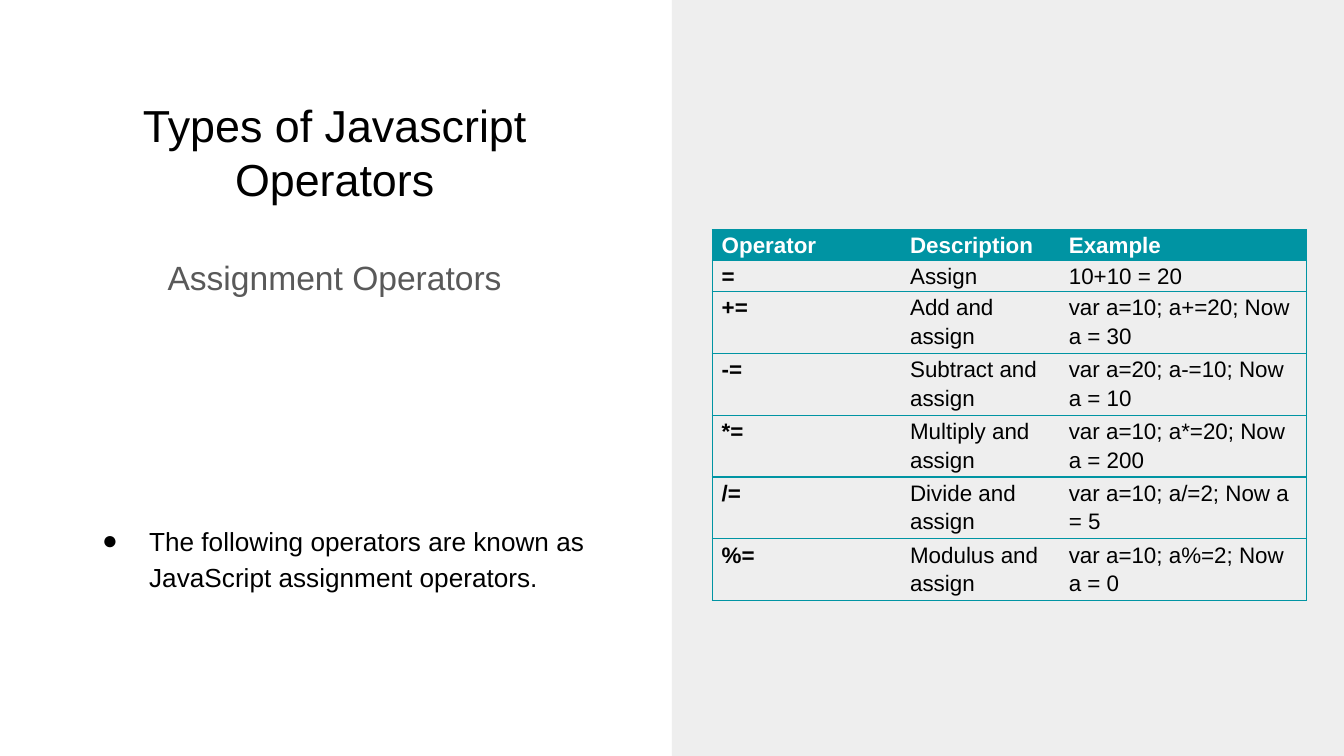
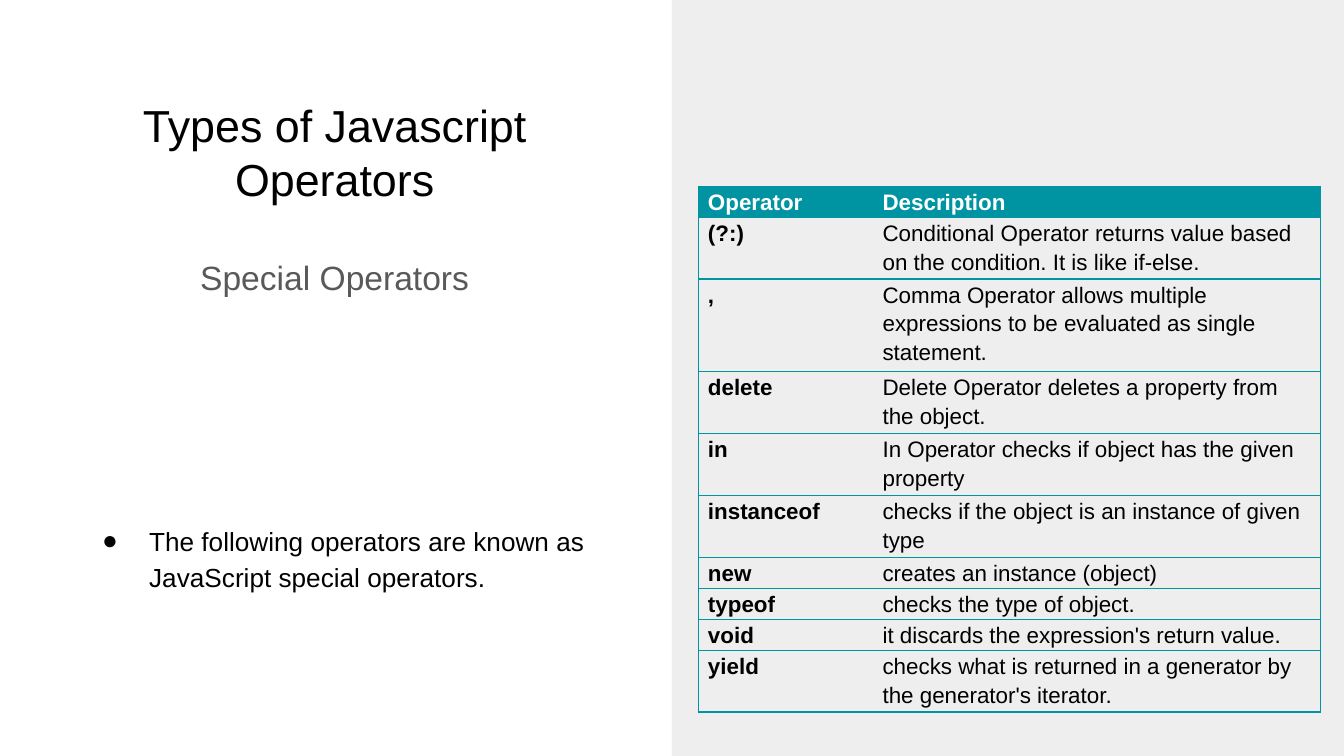
from lxml.etree import SubElement
from pptx import Presentation
from pptx.dml.color import RGBColor
from pptx.enum.shapes import MSO_SHAPE
from pptx.enum.text import MSO_ANCHOR, PP_ALIGN
from pptx.oxml.ns import qn
from pptx.util import Cm, Pt

FONT = "Arial"
BLACK = "000000"
WHITE = "FFFFFF"
GREY = "595959"
PANEL = "EEEEEE"
TEAL = "0094A3"

PAGE_WIDTH, PAGE_HEIGHT = 25.4, 14.29
LINE_SPACING = 1.15
ROW_HEIGHT = 0.55


def color(value):
    return RGBColor.from_string(value)


class OperatorDeck:
    """Holds the shared style and the slide being built."""

    def __init__(self):
        self.deck = Presentation()
        self.deck.slide_width = Cm(PAGE_WIDTH)
        self.deck.slide_height = Cm(PAGE_HEIGHT)
        self.page = None

    def add_page(self):
        self.page = self.deck.slides.add_slide(self.deck.slide_layouts[6])
        self.page.background.fill.solid()
        self.page.background.fill.fore_color.rgb = color(WHITE)
        self.add_panel()

    def add_panel(self):
        half = PAGE_WIDTH / 2
        panel = self.page.shapes.add_shape(
            MSO_SHAPE.RECTANGLE, Cm(half), 0, Cm(half), Cm(PAGE_HEIGHT))
        panel.shadow.inherit = False
        panel.fill.solid()
        panel.fill.fore_color.rgb = color(PANEL)
        panel.line.fill.background()

    def add_span(self, para, text, size, text_color=BLACK, bold=False):
        span = para.add_run()
        span.text = text
        span.font.name = FONT
        span.font.size = Pt(size)
        span.font.bold = bold
        span.font.color.rgb = color(text_color)

    def add_box(self, left, top, width, height):
        """Add a wrapped, vertically centred text box and return its paragraph."""
        box = self.page.shapes.add_textbox(Cm(left), Cm(top), Cm(width), Cm(height))
        frame = box.text_frame
        frame.word_wrap = True
        frame.vertical_anchor = MSO_ANCHOR.MIDDLE
        frame.margin_left = frame.margin_right = Cm(0.25)
        frame.margin_top = frame.margin_bottom = Cm(0.25)
        return frame.paragraphs[0]

    def add_heading(self, text, top, size, text_color):
        para = self.add_box(0.71, top, 11.23, 1.78)
        para.alignment = PP_ALIGN.CENTER
        self.add_span(para, text, size, text_color)

    def add_bullet(self, text):
        para = self.add_box(1.3, 8.08, 10.67, 4.88)
        properties = para._p.get_or_add_pPr()
        properties.set("marL", str(Cm(1.27)))
        properties.set("indent", str(Cm(-0.89)))
        bullet_color = SubElement(properties, qn("a:buClr"))
        SubElement(bullet_color, qn("a:srgbClr"), val=BLACK)
        SubElement(properties, qn("a:buFont"), typeface=FONT)
        SubElement(properties, qn("a:buChar"), char="●")
        para.line_spacing = LINE_SPACING
        self.add_span(para, text, 14)

    def set_borders(self, cell, first, last):
        """Rule every row; draw vertical lines only at the table's outer edges."""
        visible = {"lnL": first, "lnR": last, "lnT": True, "lnB": True}
        properties = cell._tc.get_or_add_tcPr()
        for side, shown in visible.items():
            line = SubElement(properties, qn(f"a:{side}"), w=str(Pt(0.75)))
            if shown:
                fill = SubElement(line, qn("a:solidFill"))
                SubElement(fill, qn("a:srgbClr"), val=TEAL)
            else:
                SubElement(line, qn("a:noFill"))

    def add_table(self, left, top, widths, rows):
        table = self.page.shapes.add_table(
            len(rows), len(widths), Cm(left), Cm(top),
            Cm(sum(widths)), Cm(ROW_HEIGHT * len(rows))).table
        table.horz_banding = False
        for column, width in zip(table.columns, widths):
            column.width = Cm(width)
        for row_index, row in enumerate(rows):
            header = row_index == 0
            for column_index, text in enumerate(row):
                first = column_index == 0
                cell = table.cell(row_index, column_index)
                cell.margin_left = cell.margin_right = Cm(0.18)
                cell.margin_top = cell.margin_bottom = 0
                self.set_borders(cell, first, column_index == len(row) - 1)
                if header:
                    cell.fill.solid()
                    cell.fill.fore_color.rgb = color(TEAL)
                else:
                    cell.fill.background()
                para = cell.text_frame.paragraphs[0]
                para.line_spacing = LINE_SPACING
                self.add_span(para, text, 12, WHITE if header else BLACK, header or first)

    def add_operator_page(self, kind, left, top, widths, rows):
        self.add_page()
        self.add_heading("Types of Javascript Operators", 1.98, 24, BLACK)
        self.add_heading(f"{kind} Operators", 4.34, 18, GREY)
        self.add_bullet("The following operators are known as "
                        f"JavaScript {kind.lower()} operators.")
        self.add_table(left, top, widths, rows)


ASSIGNMENT_ROWS = [
    ("Operator", "Description", "Example"),
    ("=", "Assign", "10+10 = 20"),
    ("+=", "Add and assign", "var a=10; a+=20; Now a = 30"),
    ("-=", "Subtract and assign", "var a=20; a-=10; Now a = 10"),
    ("*=", "Multiply and assign", "var a=10; a*=20; Now a = 200"),
    ("/=", "Divide and assign", "var a=10; a/=2; Now a = 5"),
    ("%=", "Modulus and assign", "var a=10; a%=2; Now a = 0"),
]

SPECIAL_ROWS = [
    ("Operator", "Description"),
    ("(?:)", "Conditional Operator returns value based on the condition. "
             "It is like if-else."),
    (",", "Comma Operator allows multiple expressions to be evaluated "
          "as single statement."),
    ("delete", "Delete Operator deletes a property from the object."),
    ("in", "In Operator checks if object has the given property"),
    ("instanceof", "checks if the object is an instance of given type"),
    ("new", "creates an instance (object)"),
    ("typeof", "checks the type of object."),
    ("void", "it discards the expression's return value."),
    ("yield", "checks what is returned in a generator by the generator's iterator."),
]


def main():
    operators = OperatorDeck()
    operators.add_operator_page(
        "Assignment", 13.46, 4.34, (3.56, 3.0, 4.67), ASSIGNMENT_ROWS)
    operators.add_operator_page(
        "Special", 13.2, 3.52, (3.3, 8.45), SPECIAL_ROWS)
    operators.deck.save("out.pptx")


if __name__ == "__main__":
    main()
